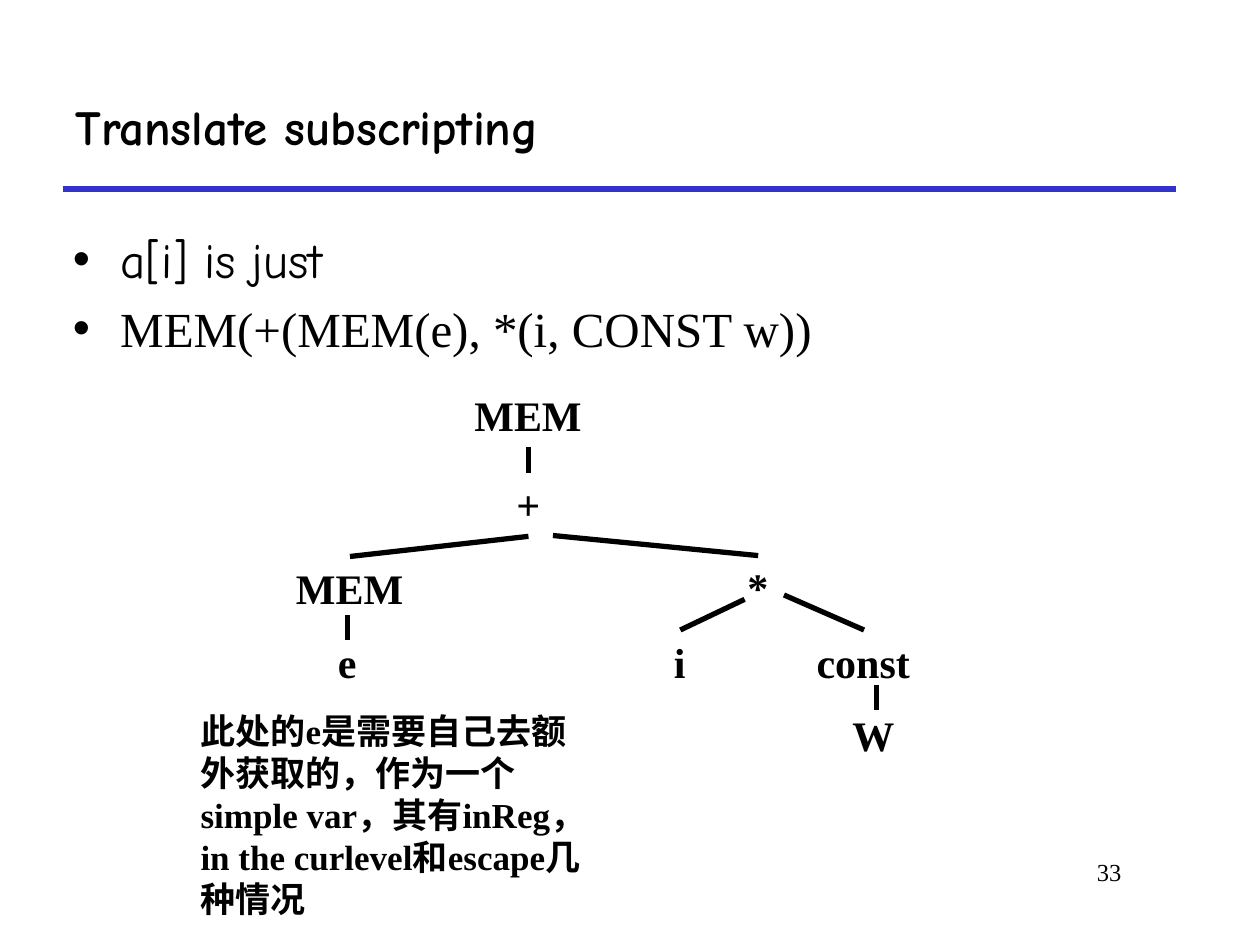
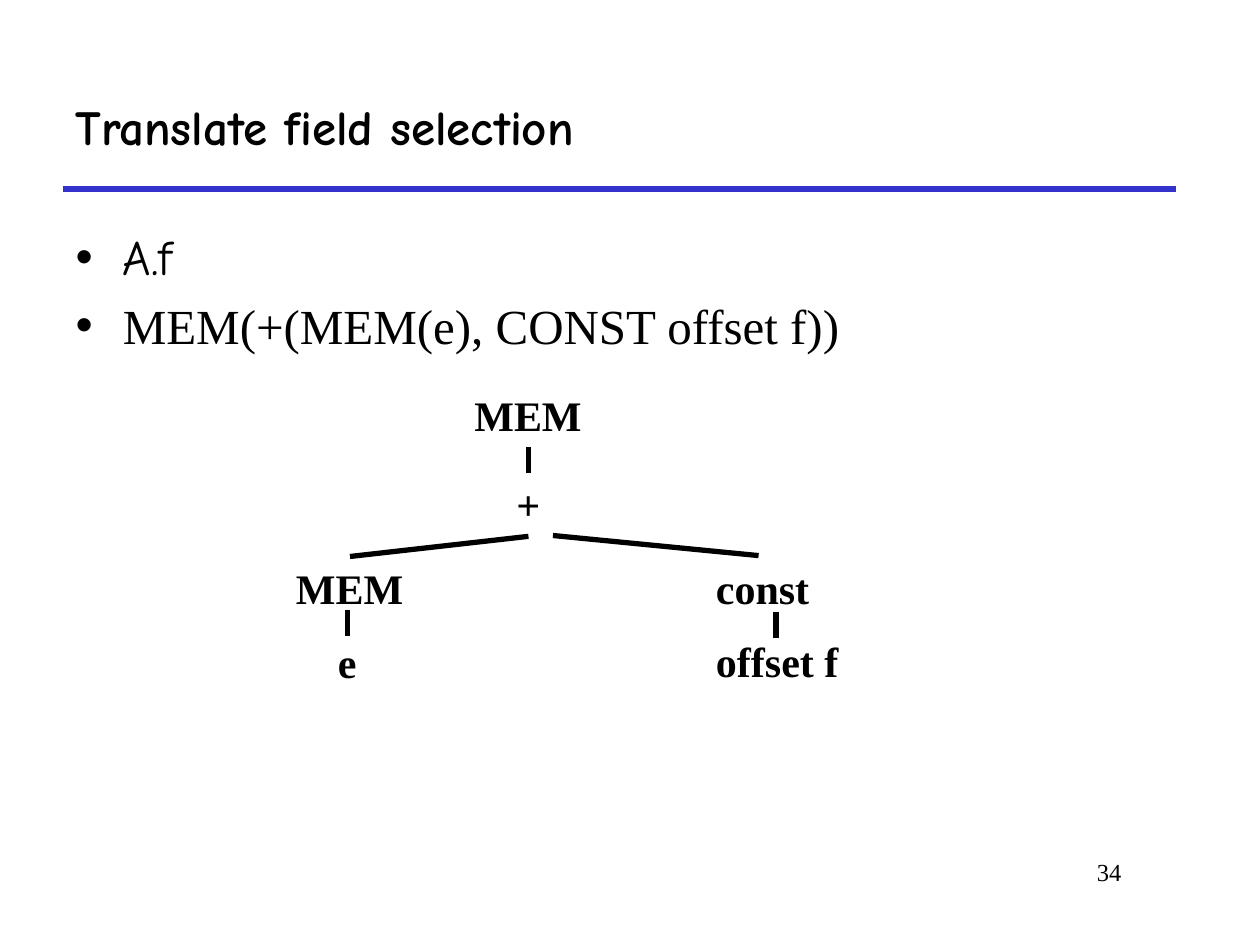
import pptx
import pptx.util
import pptx.dml.color
import pptx.enum.shapes
import pptx.enum.text
import pptx.oxml

Pt = pptx.util.Pt
BLACK = pptx.dml.color.RGBColor(0x00, 0x00, 0x00)
BLUE = pptx.dml.color.RGBColor(0x33, 0x33, 0xCC)
SERIF, COMIC = "Times New Roman", "Comic Neue"
TOP, BOTTOM = 0, 2  # connection sites
NODE_H = 36.5

# Text formats
TITLE = {"name": COMIC, "size": Pt(28), "bold": True}
BULLETS = [{"name": COMIC, "size": Pt(28)}, {"name": SERIF, "size": Pt(28)}]
NODE = {"name": SERIF, "size": Pt(24), "bold": True}
NOTE = {"name": SERIF, "size": Pt(20), "bold": True}
NUMBER = {"name": SERIF, "size": Pt(14)}

# Tree parts found on both slides: nodes are (text, left, top, width),
# edge ends are (node, site) or a free (x, y) point
SHARED_NODES = {
    "root": ("MEM", 264, 219, 76),
    "plus": ("+", 288, 270, 28),
    "mem": ("MEM", 162, 318, 76),
    "e": ("e", 186, 360, 25),
}
SHARED_EDGES = [
    (("root", BOTTOM), ("plus", TOP)),
    (("plus", BOTTOM), ("mem", TOP)),
]
RIGHT_START = (316, 306)

SLIDES = [
    {
        "title": "Translate subscripting",
        "number": "33",
        "body_at": (34.5, 127.5),
        "bullets": ["a[i] is just", "MEM(+(MEM(e), *(i, CONST w))"],
        "nodes": {
            "times": ("*", 420, 317.5, 26.5),
            "i": ("i", 378, 360, 21.5),
            "const": ("const", 459.5, 360, 68.5),
            "w": ("W", 480, 402, 39),
        },
        "edges": [
            (RIGHT_START, ("times", TOP)),
            ((425.5, 342.5), ("i", TOP)),
            ((448, 340), ("const", TOP)),
            ((501, 391.5), (501, 406)),
            ((198.5, 351.5), (198.5, 366)),
        ],
        "note": "此处的e是需要自己去额外获取的，作为一个simple var，其有inReg，"
                "in the curlevel和escape几种情况",
    },
    {
        "title": "Translate field selection",
        "number": "34",
        "body_at": (36, 126),
        "bullets": ["A.f", "MEM(+(MEM(e), CONST offset f))"],
        "nodes": {
            "const": ("const", 402, 318, 68.5),
            "offset": ("offset f", 402, 359.5, 85),
        },
        "edges": [
            (RIGHT_START, (433.5, 317.5)),
            ((443.5, 350), (443.5, 364.5)),
            ((198.5, 348.5), (198.5, 363.5)),
        ],
    },
]


def set_text(p, text, fmt):
    r = p.add_run()
    r.text = text
    for key, value in fmt.items():
        setattr(r.font, key, value)
    r.font.color.rgb = BLACK


def place(sp, left, top, width, height):
    sp.left, sp.top, sp.width, sp.height = map(Pt, (left, top, width, height))


def add_text(s, text, box, fmt, wrap=True):
    sp = s.shapes.add_textbox(*map(Pt, box))
    tf = sp.text_frame
    tf.word_wrap = wrap
    tf.auto_size = pptx.enum.text.MSO_AUTO_SIZE.SHAPE_TO_FIT_TEXT
    set_text(tf.paragraphs[0], text, fmt)
    return sp


def add_line(s, start, end, color=BLACK):
    line = s.shapes.add_connector(pptx.enum.shapes.MSO_CONNECTOR.STRAIGHT,
                                  *map(Pt, start + end))
    line.line.color.rgb = color
    line.line.width = Pt(3)
    line._element.spPr.append(pptx.oxml.parse_xml(
        '<a:effectLst xmlns:a="http://schemas.openxmlformats.org/drawingml/2006/main"/>'))
    return line


def add_tree(s, nodes, edges):
    shapes = {name: add_text(s, text, (x, y, w, NODE_H), NODE, wrap=False)
              for name, (text, x, y, w) in nodes.items()}

    def point(end):
        if end[0] not in nodes:
            return end
        _, x, y, w = nodes[end[0]]
        return x + w / 2, y + (NODE_H if end[1] == BOTTOM else 0)

    for start, end in edges:
        line = add_line(s, point(start), point(end))
        for (node, site), join in ((start, line.begin_connect), (end, line.end_connect)):
            if node in shapes:
                join(shapes[node], site)


def add_frame(s, title, number):
    # Title, rule below it and page number
    add_line(s, (36, 108), (672, 108), BLUE)
    sp = s.shapes.title
    place(sp, 36, 36, 636, 72)
    tf = sp.text_frame
    tf.vertical_anchor = pptx.enum.text.MSO_ANCHOR.MIDDLE
    p = tf.paragraphs[0]
    p.alignment = pptx.enum.text.PP_ALIGN.LEFT
    set_text(p, title, TITLE)
    sp = add_text(s, number, (546, 486, 102, 36), NUMBER)
    sp.text_frame.auto_size = pptx.enum.text.MSO_AUTO_SIZE.NONE
    sp.text_frame.paragraphs[0].alignment = pptx.enum.text.PP_ALIGN.RIGHT


def add_bullets(s, bullets, at):
    sp = s.placeholders[1]
    place(sp, *at, 636, 102)
    tf = sp.text_frame
    tf.auto_size = pptx.enum.text.MSO_AUTO_SIZE.NONE
    for i, (text, fmt) in enumerate(zip(bullets, BULLETS)):
        p = tf.add_paragraph() if i else tf.paragraphs[0]
        p.space_before = Pt(5.6 if i else 0)
        set_text(p, text, fmt)


def main():
    prs = pptx.Presentation()
    prs.slide_width, prs.slide_height = Pt(720), Pt(540)
    for data in SLIDES:
        s = prs.slides.add_slide(prs.slide_layouts[1])
        add_frame(s, data["title"], data["number"])
        add_bullets(s, data["bullets"], data["body_at"])
        add_tree(s, SHARED_NODES | data["nodes"], SHARED_EDGES + data["edges"])
        if "note" in data:
            add_text(s, data["note"], (107.5, 402, 240, 128), NOTE)
    prs.save("out.pptx")


if __name__ == "__main__":
    main()
